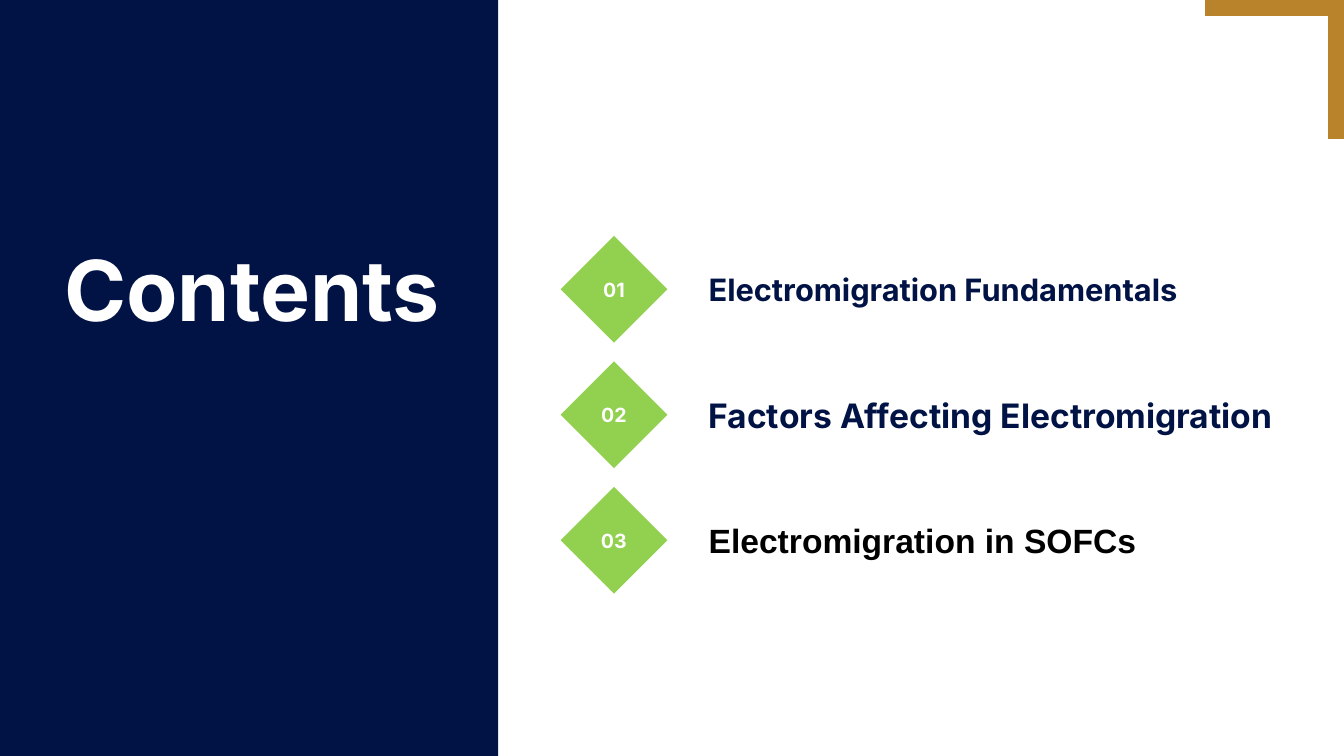
import pptx
import pptx.dml.color
import pptx.enum.shapes
import pptx.enum.text
import pptx.oxml.ns
import pptx.util
from lxml import etree
from pptx.util import Inches

NAVY = pptx.dml.color.RGBColor(0x00, 0x13, 0x44)
GOLD = pptx.dml.color.RGBColor(0xB9, 0x83, 0x2C)
GREEN = pptx.dml.color.RGBColor(0x92, 0xD0, 0x50)
WHITE = pptx.dml.color.RGBColor(0xFF, 0xFF, 0xFF)
BLACK = pptx.dml.color.RGBColor(0x00, 0x00, 0x00)

SHAPE = pptx.enum.shapes.MSO_SHAPE
ALIGN = pptx.enum.text.PP_ALIGN
ANCHOR = pptx.enum.text.MSO_ANCHOR

ROW_TOP = 2.34
ROW_PITCH = 1.245
DIAMOND_SIZE = 1.06
LABEL_HEIGHT = 0.5

TOPICS = [
    ("Electromigration Fundamentals", 22, "Inter", NAVY, 6.34),
    ("Factors Affecting Electromigration", 24, "Inter", NAVY, 6.34),
    ("Electromigration in SOFCs", 24, "Arial", BLACK, 4.59),
]


def write_text(box, text, size, font, color, align, anchor=ANCHOR.MIDDLE):
    frame = box.text_frame
    frame.word_wrap = True
    frame.auto_size = pptx.enum.text.MSO_AUTO_SIZE.NONE
    frame.vertical_anchor = anchor
    para = frame.paragraphs[0]
    para.alignment = align
    span = para.add_run()
    span.text = text
    span.font.name = font
    span.font.size = pptx.util.Pt(size)
    span.font.bold = True
    span.font.color.rgb = color


def add_filled_shape(shapes, kind, left, top, width, height, color):
    shape = shapes.add_shape(kind, Inches(left), Inches(top), Inches(width), Inches(height))
    shape.shadow.inherit = False
    shape.fill.solid()
    shape.fill.fore_color.rgb = color
    shape.line.fill.background()
    return shape


def add_corner_line(page, start_x, start_y, end_x, end_y):
    line = page.shapes.add_connector(
        pptx.enum.shapes.MSO_CONNECTOR.STRAIGHT,
        Inches(start_x), Inches(start_y), Inches(end_x), Inches(end_y),
    )
    line.line.color.rgb = GOLD
    line.line.width = pptx.util.Pt(12)
    etree.SubElement(line.element.spPr, pptx.oxml.ns.qn("a:effectLst"))


def place_title(page):
    title = page.shapes.title
    title.left, title.top = Inches(0.3), Inches(2.31)
    title.width, title.height = Inches(4.4), Inches(1.11)
    write_text(title, "Contents", 60, "Inter", WHITE, ALIGN.CENTER, ANCHOR.TOP)
    title.element.getparent().append(title.element)


def add_topic(page, index, text, size, font, color, width):
    top = ROW_TOP + index * ROW_PITCH
    label_top = top + (DIAMOND_SIZE - LABEL_HEIGHT) / 2
    row = page.shapes.add_group_shape()
    label = row.shapes.add_textbox(
        Inches(6.93), Inches(label_top), Inches(width), Inches(LABEL_HEIGHT)
    )
    write_text(label, text, size, font, color, ALIGN.LEFT)
    diamond = add_filled_shape(
        row.shapes, SHAPE.DIAMOND, 5.56, top, DIAMOND_SIZE, DIAMOND_SIZE, GREEN
    )
    write_text(diamond, f"{index + 1:02d}", 14, "Inter", WHITE, ALIGN.CENTER)


def main():
    deck = pptx.Presentation()
    deck.slide_width = Inches(13.33)
    deck.slide_height = Inches(7.5)
    page = deck.slides.add_slide(deck.slide_layouts[5])
    add_filled_shape(page.shapes, SHAPE.RECTANGLE, 0, 0, 4.94, 7.5, NAVY)
    add_corner_line(page, 11.95, 0.08, 13.33, 0.08)
    add_corner_line(page, 13.25, 0, 13.25, 1.38)
    place_title(page)
    for index, topic in enumerate(TOPICS):
        add_topic(page, index, *topic)
    deck.save("out.pptx")


if __name__ == "__main__":
    main()
